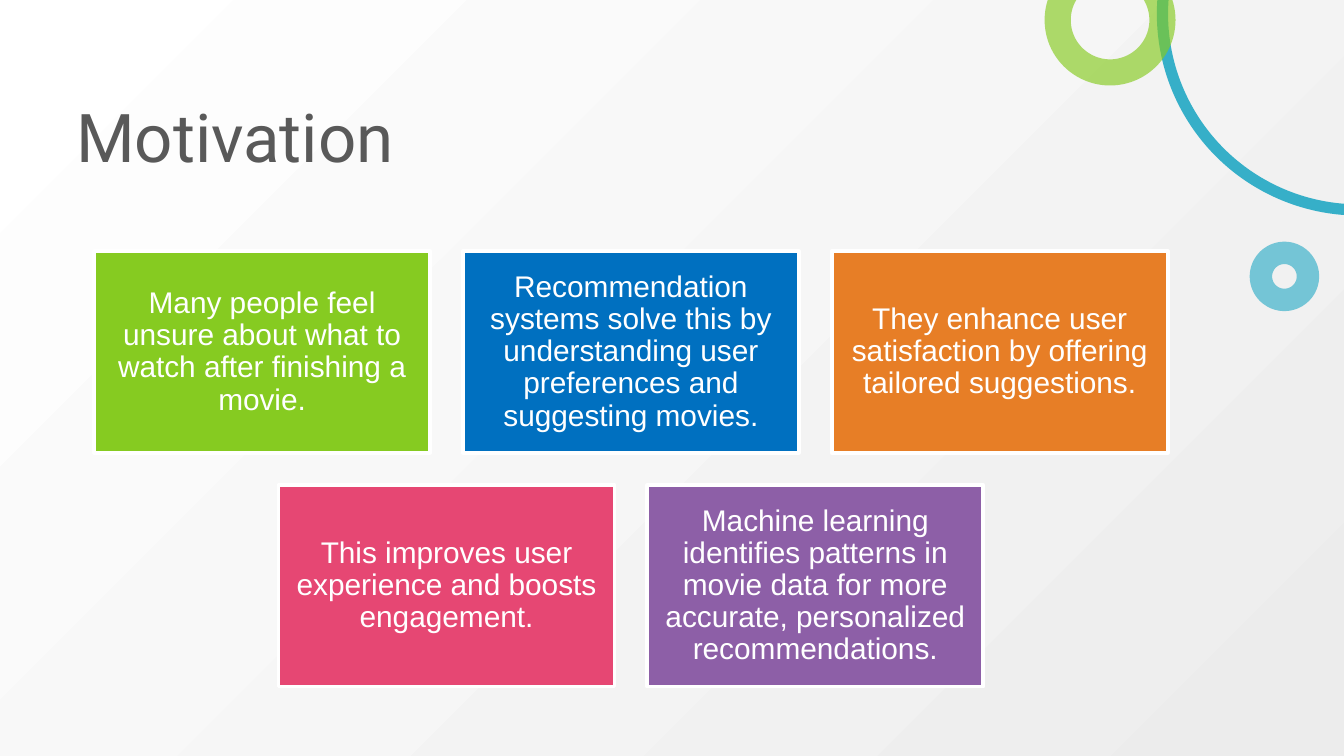
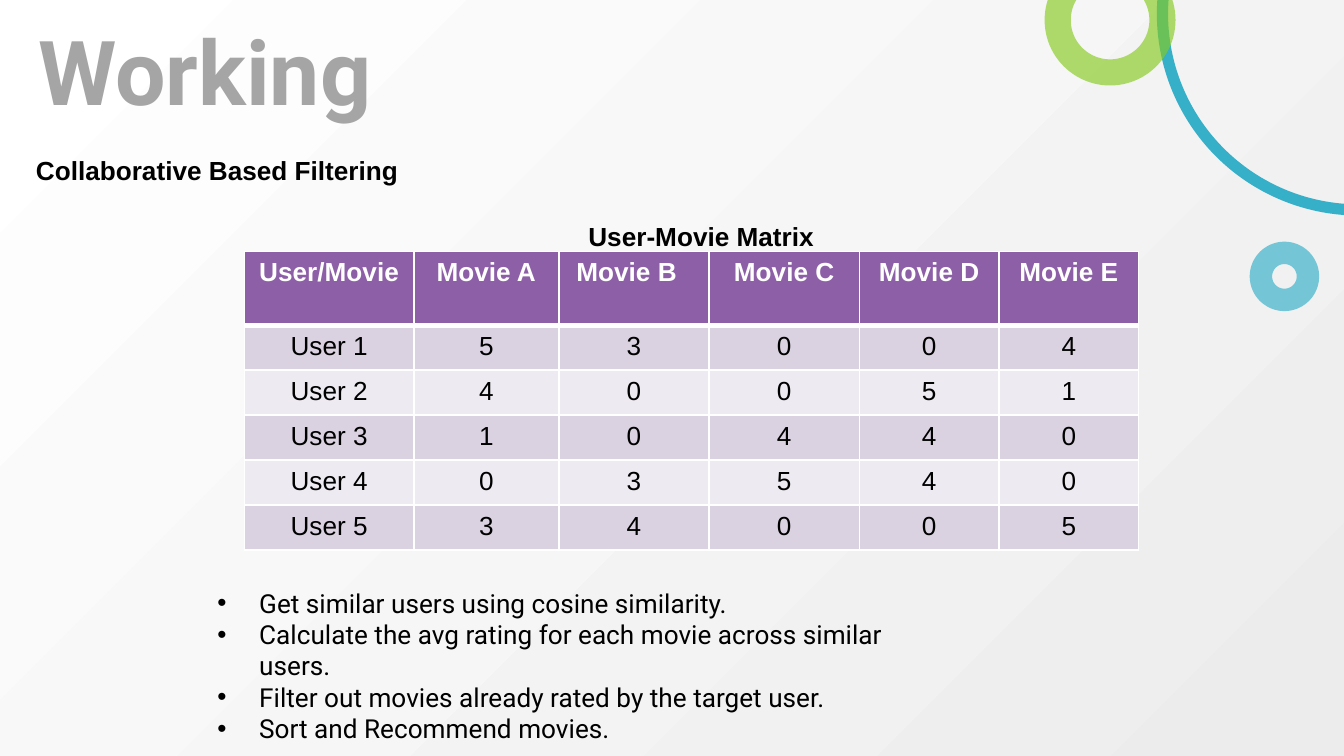
import lxml.etree
import pptx
import pptx.dml.color
import pptx.enum.shapes
import pptx.enum.text
import pptx.oxml.ns
import pptx.util

Cm = pptx.util.Cm
Pt = pptx.util.Pt
SHAPE = pptx.enum.shapes.MSO_SHAPE
ALIGN = pptx.enum.text.PP_ALIGN
ANCHOR = pptx.enum.text.MSO_ANCHOR

WHITE, BLACK = "FFFFFF", "000000"
TEAL, GREEN, PURPLE = "22A8C4", "86CB21", "8D5FA7"
BLUE, ORANGE, PINK = "0070C0", "E77E26", "E64773"
TITLE_GREY, HEADING_GREY = "595959", "A5A5A5"
BACKGROUND_END = "ECECEC"
ROW_TINTS = ("DBD2E1", "EEEAF1")

CARDS = [
    [("Many people feel unsure about what to watch after finishing a movie.", GREEN),
     ("Recommendation systems solve this by understanding user preferences "
      "and suggesting movies.", BLUE),
     ("They enhance user satisfaction by offering tailored suggestions.", ORANGE)],
    [("This improves user experience and boosts engagement.", PINK),
     ("Machine learning identifies patterns in movie data for more accurate, "
      "personalized recommendations.", PURPLE)],
]
RATINGS = [
    ["User/Movie", "Movie A", "Movie B", "Movie C", "Movie D", "Movie E"],
    ["User 1", 5, 3, 0, 0, 4],
    ["User 2", 4, 0, 0, 5, 1],
    ["User 3", 1, 0, 4, 4, 0],
    ["User 4", 0, 3, 5, 4, 0],
    ["User 5", 3, 4, 0, 0, 5],
]
STEPS = [
    "Get similar users using cosine similarity.",
    "Calculate the avg rating for each movie across similar users.",
    "Filter out movies already rated by the target user.",
    "Sort and Recommend movies.",
]


def rgb(value):
    return pptx.dml.color.RGBColor.from_string(value)


def add_xml(parent, tag, **attributes):
    return lxml.etree.SubElement(parent, pptx.oxml.ns.qn(tag), attributes)


class Deck:
    """Holds the presentation, its style and the slide being built."""

    def __init__(self):
        self.presentation = pptx.Presentation()
        self.presentation.slide_width = Cm(25.4)
        self.presentation.slide_height = Cm(14.29)
        self.slide = None

    def new_slide(self):
        self.slide = self.presentation.slides.add_slide(self.presentation.slide_layouts[6])
        self.background()
        self.ring(SHAPE.ARC, 21.97, -3.45, 7.42, TEAL, 6, 90, (56.01, 111.67))
        self.ring(SHAPE.OVAL, 23.83, 4.78, 0.89, TEAL, 12, 60)
        self.ring(SHAPE.ARC, 19.99, -0.61, 1.98, GREEN, 14, 65, (196.99, 128.89))

    def background(self):
        """Fill the slide with a gradient spreading from the top left corner."""
        fill = self.slide.background.fill
        fill.gradient()
        for stop, position, colour in zip(fill.gradient_stops, (0, 1), (WHITE, BACKGROUND_END)):
            stop.position = position
            stop.color.rgb = rgb(colour)
        gradient = next(self.slide.element.iter(pptx.oxml.ns.qn("a:gradFill")))
        gradient.remove(gradient.find(pptx.oxml.ns.qn("a:lin")))
        spread = add_xml(gradient, "a:path", path="circle")
        add_xml(spread, "a:fillToRect", r="100000", b="100000")

    def ring(self, kind, left, top, size, colour, width, opacity, angles=()):
        ring = self.slide.shapes.add_shape(kind, Cm(left), Cm(top), Cm(size), Cm(size))
        for index, angle in enumerate(angles):
            ring.adjustments[index] = angle
        ring.shadow.inherit = False
        ring.fill.background()
        ring.line.color.rgb = rgb(colour)
        ring.line.width = Pt(width)
        stroke = next(ring.line._ln.iter(pptx.oxml.ns.qn("a:srgbClr")))
        add_xml(stroke, "a:alpha", val=str(opacity * 1000))

    def style(self, paragraph, size, colour, font="Arial", bold=False, align=ALIGN.LEFT):
        paragraph.alignment = align
        paragraph.font.size = Pt(size)
        paragraph.font.name = font
        paragraph.font.bold = bold
        paragraph.font.color.rgb = rgb(colour)

    def text_box(self, left, top, width, height):
        box = self.slide.shapes.add_textbox(Cm(left), Cm(top), Cm(width), Cm(height))
        box.text_frame.word_wrap = True
        return box.text_frame

    def text(self, text, left, top, width, height, size, colour, margin_top=0.13, **style):
        frame = self.text_box(left, top, width, height)
        frame.margin_top = Cm(margin_top)
        frame.text = text
        self.style(frame.paragraphs[0], size, colour, **style)

    def bullets(self, items, left, top, width, height):
        frame = self.text_box(left, top, width, height)
        frame.text = "\n".join(items)
        indent = Cm(0.79)
        for paragraph in frame.paragraphs:
            properties = paragraph._p.get_or_add_pPr()
            properties.set("marL", str(indent))
            properties.set("indent", str(-indent))
            add_xml(add_xml(properties, "a:buClr"), "a:srgbClr", val=BLACK)
            add_xml(properties, "a:buFont", typeface="Arial")
            add_xml(properties, "a:buChar", char="•")
            self.style(paragraph, 14, BLACK, font="Roboto")

    def card(self, text, colour, left, top, width, height):
        card = self.slide.shapes.add_shape(
            SHAPE.RECTANGLE, Cm(left), Cm(top), Cm(width), Cm(height))
        card.shadow.inherit = False
        card.fill.solid()
        card.fill.fore_color.rgb = rgb(colour)
        card.line.color.rgb = rgb(WHITE)
        card.line.width = Pt(2)
        frame = card.text_frame
        frame.word_wrap = True
        frame.vertical_anchor = ANCHOR.MIDDLE
        frame.margin_left = frame.margin_right = Cm(0.18)
        frame.margin_top = frame.margin_bottom = Cm(0.18)
        frame.text = text
        frame.paragraphs[0].line_spacing = 0.9
        self.style(frame.paragraphs[0], 16, WHITE, align=ALIGN.CENTER)

    def cell_borders(self, cell, top, bottom):
        """Draw white borders; top and bottom are widths in points."""
        properties = cell._tc.get_or_add_tcPr()
        for side, width in (("L", 1), ("R", 1), ("T", top), ("B", bottom)):
            line = add_xml(properties, f"a:ln{side}", w=str(Pt(width)))
            add_xml(add_xml(line, "a:solidFill"), "a:srgbClr", val=WHITE)

    def table(self, rows, left, top, widths, heights):
        table = self.slide.shapes.add_table(
            len(rows), len(widths), Cm(left), Cm(top),
            Cm(sum(widths)), Cm(sum(heights))).table
        for column, width in zip(table.columns, widths):
            column.width = Cm(width)
        for index, (values, height) in enumerate(zip(rows, heights)):
            table.rows[index].height = Cm(height)
            header = index == 0
            for cell, value in zip(table.rows[index].cells, values):
                cell.text = str(value)
                self.style(cell.text_frame.paragraphs[0], 14, WHITE if header else BLACK,
                           bold=header, align=ALIGN.CENTER)
                self.cell_borders(cell, 3 if index == 1 else 1, 3 if header else 1)
                cell.fill.solid()
                cell.fill.fore_color.rgb = rgb(PURPLE if header else ROW_TINTS[(index - 1) % 2])
        return table


def motivation_slide(deck):
    deck.new_slide()
    deck.text("Motivation", 1.19, 1.68, 18.8, 3.07, 36, TITLE_GREY, font="Roboto")
    column_step, row_step = 6.97, 4.42
    for row, cards in enumerate(CARDS):
        row_left = 1.78 + (len(CARDS[0]) - len(cards)) * column_step / 2
        for column, (text, colour) in enumerate(cards):
            deck.card(text, colour, row_left + column * column_step,
                      4.75 + row * row_step, 6.35, 3.81)


def working_slide(deck):
    deck.new_slide()
    deck.text("Working", 0.15, 0.05, 7.44, 2.41, 48, HEADING_GREY, margin_top=0.25,
              font="Roboto", bold=True, align=ALIGN.CENTER)
    deck.text("Collaborative Based Filtering", 0.43, 2.79, 8.03, 0.86, 14, BLACK, bold=True)
    ratings = deck.table(RATINGS, 4.62, 4.75, [3.2, 2.74, 2.84, 2.84, 2.64, 2.64],
                         [1.4] + [0.85] * 5)
    ratings.cell(0, 2).margin_right = Cm(0.53)
    deck.bullets(STEPS, 3.86, 10.97, 14.02, 2.64)
    deck.text("User-Movie Matrix", 10.87, 4.04, 5.21, 0.86, 14, BLACK, bold=True)


def main():
    deck = Deck()
    motivation_slide(deck)
    working_slide(deck)
    deck.presentation.save("out.pptx")


if __name__ == "__main__":
    main()
